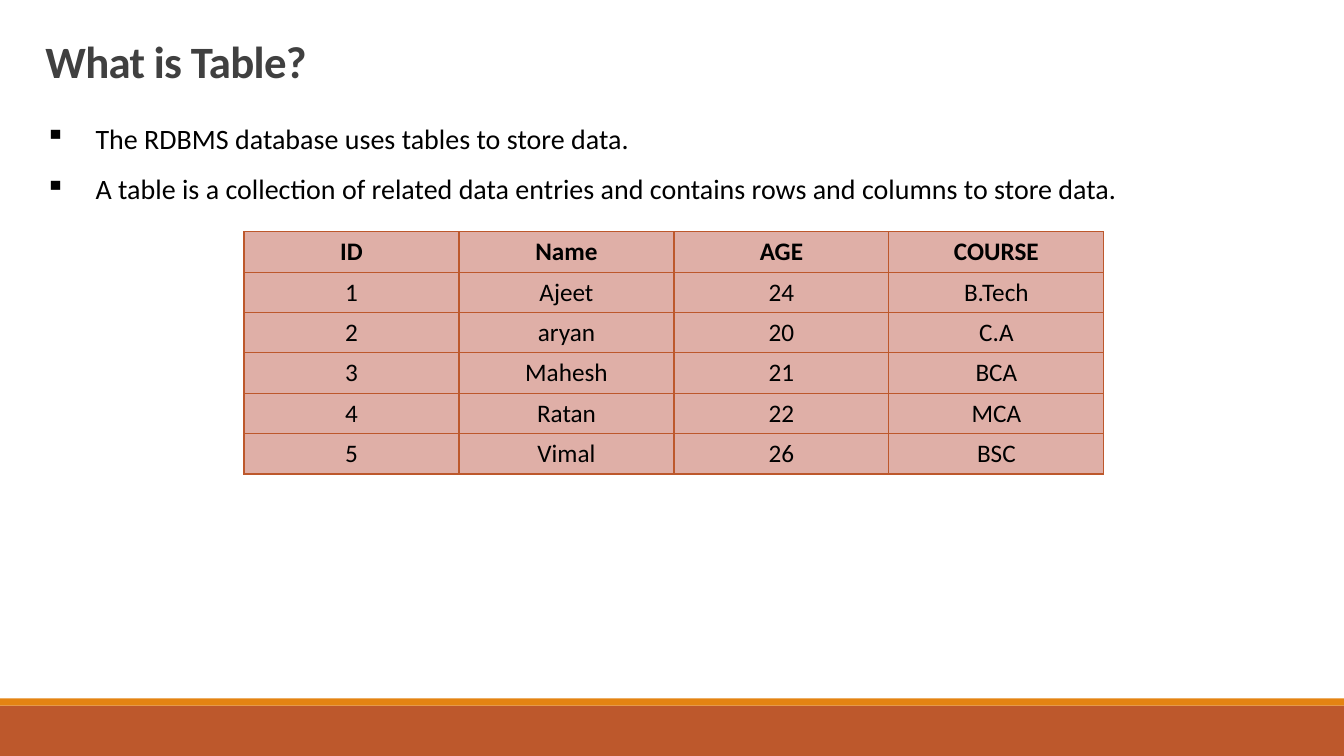
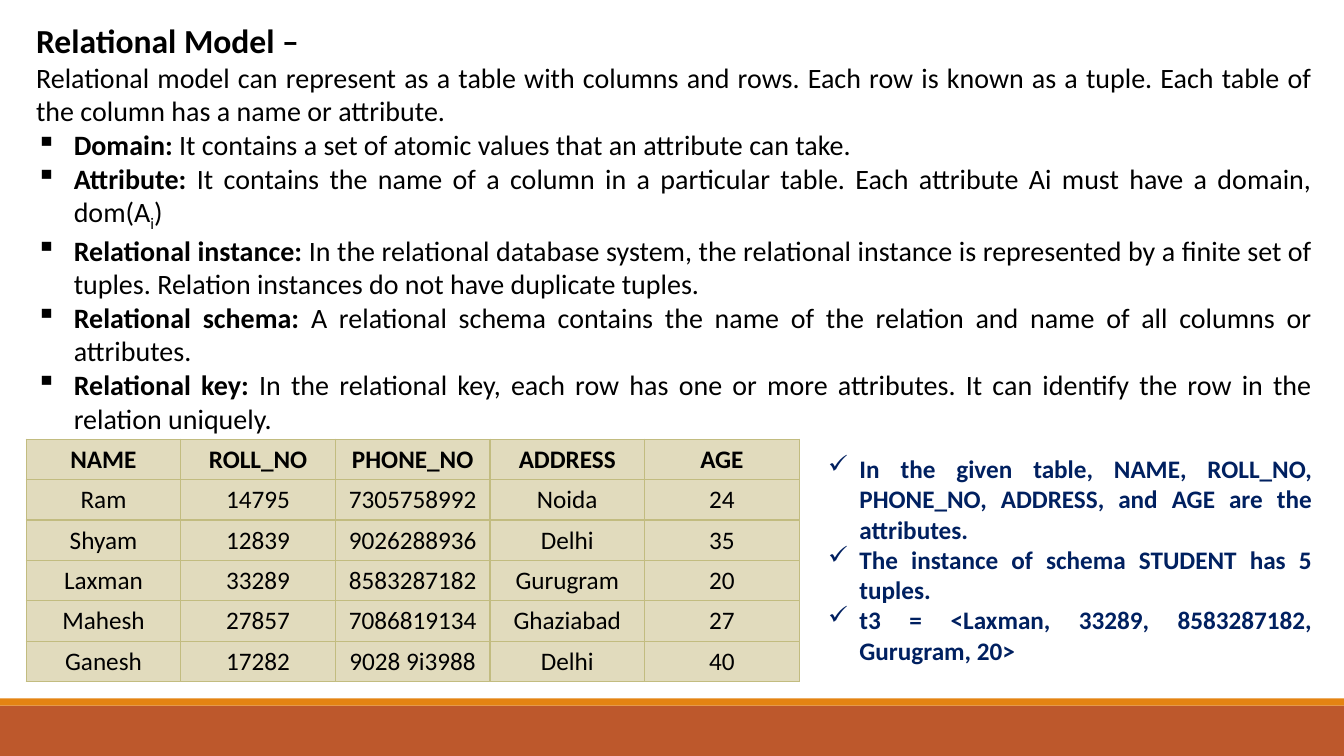
from lxml import etree
from pptx import Presentation
from pptx.dml.color import RGBColor
from pptx.enum.shapes import MSO_SHAPE
from pptx.enum.text import MSO_ANCHOR, MSO_AUTO_SIZE, PP_ALIGN
from pptx.oxml.ns import qn
from pptx.util import Cm, Pt

RECTANGLE = MSO_SHAPE.RECTANGLE
MIDDLE = MSO_ANCHOR.MIDDLE
NO_AUTOFIT = MSO_AUTO_SIZE.NONE
LEFT, CENTER, JUSTIFY = PP_ALIGN.LEFT, PP_ALIGN.CENTER, PP_ALIGN.JUSTIFY

FONT = "Calibri"
BLACK, GREY, NAVY = "000000", "404040", "002060"
RUST, ORANGE, ROSE = "BD582C", "E48312", "DFAFA7"
OLIVE, SAND = "C2BC80", "E1DBBD"
SLIDE_WIDTH, SLIDE_HEIGHT = 33.87, 19.05
FOOTER_HEIGHT, STRIPE_HEIGHT = 1.27, 0.18
TITLE_ONLY, BLANK = 5, 6
SQUARE, CHECK = "▪", "✓"

TABLE_FACTS = [
    "The RDBMS database uses tables to store data.",
    "A table is a collection of related data entries and contains rows and columns to store data.",
]
COURSE_ROWS = [
    ("ID", "Name", "AGE", "COURSE"),
    ("1", "Ajeet", "24", "B.Tech"),
    ("2", "aryan", "20", "C.A"),
    ("3", "Mahesh", "21", "BCA"),
    ("4", "Ratan", "22", "MCA"),
    ("5", "Vimal", "26", "BSC"),
]
MODEL_HEADING = "Relational Model –"
MODEL_INTRO = (
    "Relational model can represent as a table with columns and rows. Each row is known "
    "as a tuple. Each table of the column has a name or attribute."
)
MODEL_TERMS = [
    ("Domain:", [(" It contains a set of atomic values that an attribute can take.", 0)]),
    ("Attribute:", [
        (" It contains the name of a column in a particular table. Each attribute Ai "
         "must have a domain, dom(A", 0),
        ("i", -25),
        (")", 0),
    ]),
    ("Relational instance:", [
        (" In the relational database system, the relational instance is represented by a "
         "finite set of tuples. Relation instances do not have duplicate tuples.", 0),
    ]),
    ("Relational schema:", [
        (" A relational schema contains the name of the relation and name of all columns "
         "or attributes.", 0),
    ]),
    ("Relational key:", [
        (" In the relational key, each row has one or more attributes. It can identify the "
         "row in the relation uniquely.", 0),
    ]),
]
STUDENT_ROWS = [
    ("NAME", "ROLL_NO", "PHONE_NO", "ADDRESS", "AGE"),
    ("Ram", "14795", "7305758992", "Noida", "24"),
    ("Shyam", "12839", "9026288936", "Delhi", "35"),
    ("Laxman", "33289", "8583287182", "Gurugram", "20"),
    ("Mahesh", "27857", "7086819134", "Ghaziabad", "27"),
    ("Ganesh", "17282", "9028 9i3988", "Delhi", "40"),
]
STUDENT_NOTES = [
    "In the given table, NAME, ROLL_NO, PHONE_NO, ADDRESS, and AGE are the attributes.",
    "The instance of schema STUDENT has 5 tuples.",
    "t3 = <Laxman, 33289, 8583287182, Gurugram, 20>",
]


def color(hex_value):
    """Turn a hex string into a colour."""
    return RGBColor.from_string(hex_value)


def lengths(box):
    """Turn a box in centimetres into slide lengths."""
    return [Cm(value) for value in box]


def add_run(paragraph, text, size, hex_value=BLACK, bold=False, baseline=0):
    """Add one formatted run and return it."""
    run = paragraph.add_run()
    run.text = text
    run.font.name = FONT
    run.font.size = Pt(size)
    run.font.bold = bold
    run.font.color.rgb = color(hex_value)
    if baseline:
        run.font._element.set("baseline", str(baseline * 1000))
    return run


def set_bullet(paragraph, character, indent):
    """Give a paragraph a bullet with a hanging indent."""
    properties = paragraph._p.get_or_add_pPr()
    properties.set("marL", str(Cm(indent)))
    properties.set("indent", str(-Cm(indent)))
    etree.SubElement(properties, qn("a:buChar")).set("char", character)


def add_text_frame(slide, box):
    """Add a wrapping text box and return its text frame."""
    frame = slide.shapes.add_textbox(*lengths(box)).text_frame
    frame.word_wrap = True
    return frame


def next_paragraph(frame):
    """Return the empty first paragraph or a new one, justified."""
    first = frame.paragraphs[0]
    paragraph = frame.add_paragraph() if first.runs else first
    paragraph.alignment = JUSTIFY
    return paragraph


def add_bullet_list(slide, box, items, character, indent, size, hex_value=BLACK,
                    bold=False, spacing=1.0):
    """Write a list of single-run bullets in the box."""
    frame = add_text_frame(slide, box)
    for item in items:
        paragraph = next_paragraph(frame)
        paragraph.line_spacing = spacing
        set_bullet(paragraph, character, indent)
        add_run(paragraph, item, size, hex_value, bold)


def add_model_text(slide, box):
    """Write the heading, introduction and defined terms in the box."""
    frame = add_text_frame(slide, box)
    add_run(next_paragraph(frame), MODEL_HEADING, 24, bold=True)
    add_run(next_paragraph(frame), MODEL_INTRO, 20)
    for term, parts in MODEL_TERMS:
        paragraph = next_paragraph(frame)
        set_bullet(paragraph, SQUARE, 0.95)
        add_run(paragraph, term, 20, bold=True)
        for text, baseline in parts:
            add_run(paragraph, text, 20, baseline=baseline)


def set_borders(cell, hex_value):
    """Draw a one-point line on each side of a cell."""
    properties = cell._tc.get_or_add_tcPr()
    for side in ("lnL", "lnR", "lnT", "lnB"):
        line = etree.SubElement(properties, qn(f"a:{side}"), w=str(Pt(1)))
        fill = etree.SubElement(line, qn("a:solidFill"))
        etree.SubElement(fill, qn("a:srgbClr"), val=hex_value)


def add_grid(slide, box, rows, fill_hex, border_hex):
    """Fill the box with an evenly divided table with a bold header row."""
    left, top, width, height = lengths(box)
    table = slide.shapes.add_table(len(rows), len(rows[0]), left, top, width, height).table
    table.first_row = False
    table.horz_banding = False
    for row_index, row in enumerate(rows):
        for column_index, text in enumerate(row):
            cell = table.cell(row_index, column_index)
            set_borders(cell, border_hex)
            cell.fill.solid()
            cell.fill.fore_color.rgb = color(fill_hex)
            cell.vertical_anchor = MIDDLE
            paragraph = cell.text_frame.paragraphs[0]
            paragraph.alignment = CENTER
            add_run(paragraph, text, 18, bold=row_index == 0)


def set_title(slide, box, text):
    """Place and format the title placeholder."""
    title = slide.shapes.title
    title.left, title.top, title.width, title.height = lengths(box)
    frame = title.text_frame
    frame.auto_size = NO_AUTOFIT
    frame.vertical_anchor = MIDDLE
    paragraph = frame.paragraphs[0]
    paragraph.alignment = LEFT
    paragraph.line_spacing = 0.85
    run = add_run(paragraph, text, 32, GREY, bold=True)
    run.font._element.set("spc", "-50")


def add_footer(slide):
    """Draw the two bands along the bottom edge."""
    footer_top = SLIDE_HEIGHT - FOOTER_HEIGHT
    bands = [
        (footer_top, FOOTER_HEIGHT, RUST),
        (footer_top - STRIPE_HEIGHT, STRIPE_HEIGHT, ORANGE),
    ]
    for top, height, hex_value in bands:
        box = (0, top, SLIDE_WIDTH, height)
        shape = slide.shapes.add_shape(RECTANGLE, *lengths(box))
        shape.shadow.inherit = False
        shape.fill.solid()
        shape.fill.fore_color.rgb = color(hex_value)
        shape.line.fill.background()


def add_base_slide(presentation, layout_index):
    """Add a slide that carries the shared footer."""
    slide = presentation.slides.add_slide(presentation.slide_layouts[layout_index])
    add_footer(slide)
    return slide


def build_table_slide(presentation):
    """Build the slide that explains tables."""
    slide = add_base_slide(presentation, TITLE_ONLY)
    set_title(slide, (0.89, 0.79, 32.21, 1.7), "What is Table?")
    add_bullet_list(slide, (0.89, 2.51, 32.11, 2.69), TABLE_FACTS, SQUARE, 1.27, 20,
                    spacing=1.5)
    add_grid(slide, (6.15, 5.84, 21.67, 6.1), COURSE_ROWS, ROSE, RUST)


def build_model_slide(presentation):
    """Build the slide that explains the relational model."""
    slide = add_base_slide(presentation, BLANK)
    add_model_text(slide, (0.66, 0.38, 32.66, 10.69))
    add_grid(slide, (0.66, 11.07, 19.48, 6.1), STUDENT_ROWS, SAND, OLIVE)
    add_bullet_list(slide, (20.62, 11.3, 12.7, 5.64), STUDENT_NOTES, CHECK, 0.79, 18,
                    NAVY, bold=True)


def main():
    """Build and save the presentation."""
    presentation = Presentation()
    presentation.slide_width = Cm(SLIDE_WIDTH)
    presentation.slide_height = Cm(SLIDE_HEIGHT)
    build_table_slide(presentation)
    build_model_slide(presentation)
    presentation.save("out.pptx")


if __name__ == "__main__":
    main()
